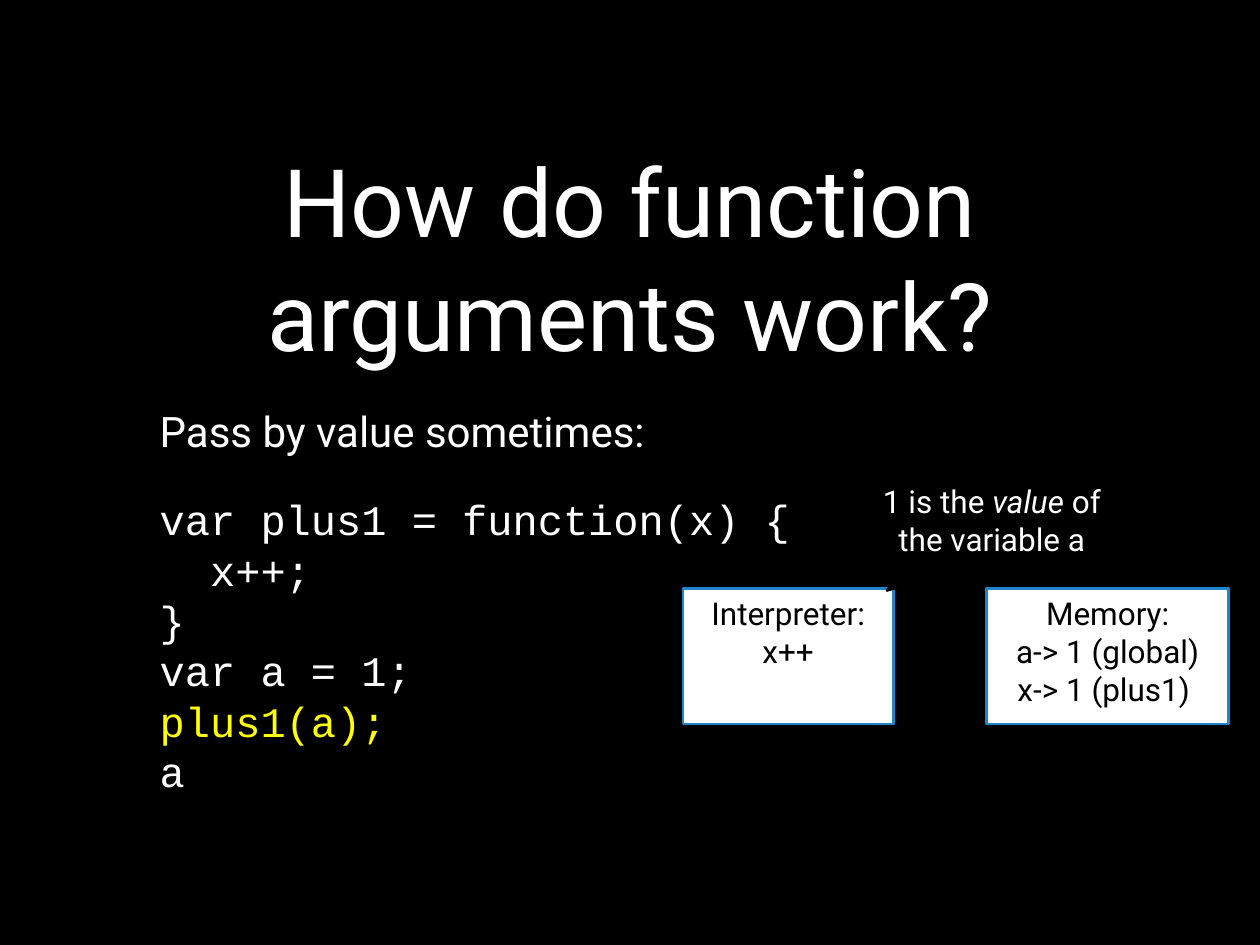
from pptx import Presentation
from pptx.dml.color import RGBColor
from pptx.enum.shapes import MSO_SHAPE
from pptx.enum.text import MSO_ANCHOR, PP_ALIGN
from pptx.util import Cm, Pt

LEFT, CENTER = PP_ALIGN.LEFT, PP_ALIGN.CENTER
TOP, MIDDLE, BOTTOM = MSO_ANCHOR.TOP, MSO_ANCHOR.MIDDLE, MSO_ANCHOR.BOTTOM
RECTANGLE, CALLOUT = MSO_SHAPE.RECTANGLE, MSO_SHAPE.RECTANGULAR_CALLOUT

COLORS = {"black": "000000", "white": "FFFFFF", "blue": "1D86CD", "yellow": "FFFF00"}
SANS, MONO = "Roboto", "Courier New"
BREAK = "\n"

TITLE = "How do function arguments work?"
INTRO = "Pass by value sometimes:"
CODE = ["var plus1 = function(x) {", "  x++;", "}", "var a = 1;", "plus1(a);", "a"]
CURRENT_LINE = "plus1(a);"
# Each box: left, width, paragraphs made of runs
BOXES = [
    (19.89, 4.88, [["Memory:", BREAK, "a-> 1 (global)"], ["x-> 1 (plus1) "]]),
    (13.77, 4.24, [["Interpreter:"], ["x++"]]),
]
BOX_TOP, BOX_HEIGHT = 11.86, 2.74
CALLOUT_RUNS = [("1 is the ", False), ("value ", True), ("of the variable a", False)]
CALLOUT_TIP = (-0.4, 0.75)


def color(name):
    return RGBColor.from_string(COLORS[name])


def add_run(paragraph, text, size, ink="white", font=SANS, italic=False):
    run = paragraph.add_run()
    run.text = text
    run.font.size = Pt(size)
    run.font.name = font
    run.font.italic = italic
    run.font.color.rgb = color(ink)


def prepare_frame(shape, anchor):
    frame = shape.text_frame
    frame.word_wrap = True
    frame.vertical_anchor = anchor
    return frame


def add_paragraph(frame, first, align):
    paragraph = frame.paragraphs[0] if first else frame.add_paragraph()
    paragraph.alignment = align
    return paragraph


def add_panel(slide, kind, place, fill, line, anchor):
    panel = slide.shapes.add_shape(kind, *map(Cm, place))
    panel.shadow.inherit = False
    panel.fill.solid()
    panel.fill.fore_color.rgb = color(fill)
    panel.line.color.rgb = color(line)
    panel.line.width = Pt(1.5)
    return panel, prepare_frame(panel, anchor)


def add_title(slide):
    box = slide.shapes.add_textbox(Cm(1.9), Cm(2.74), Cm(21.6), Cm(4.85))
    paragraph = add_paragraph(prepare_frame(box, BOTTOM), True, CENTER)
    add_run(paragraph, TITLE, 54)


def add_code(slide):
    box = slide.shapes.add_textbox(Cm(2.97), Cm(8.05), Cm(20.75), Cm(8.2))
    frame = prepare_frame(box, TOP)
    add_run(add_paragraph(frame, True, LEFT), INTRO, 24)
    for number, line in enumerate(CODE):
        paragraph = add_paragraph(frame, False, LEFT)
        if number == 0:
            paragraph.space_before = Pt(21.6)
        add_run(paragraph, line, 24, "yellow" if line == CURRENT_LINE else "white", MONO)


def add_boxes(slide):
    for left, width, paragraphs in BOXES:
        place = (left, BOX_TOP, width, BOX_HEIGHT)
        _, frame = add_panel(slide, RECTANGLE, place, "white", "blue", TOP)
        for number, runs in enumerate(paragraphs):
            paragraph = add_paragraph(frame, number == 0, CENTER)
            for text in runs:
                if text == BREAK:
                    paragraph.add_line_break()
                else:
                    add_run(paragraph, text, 18, "black")


def add_callout(slide):
    place = (17.35, 9.53, 5.29, 1.9)
    callout, frame = add_panel(slide, CALLOUT, place, "black", "black", MIDDLE)
    callout.adjustments[0], callout.adjustments[1] = CALLOUT_TIP
    paragraph = add_paragraph(frame, True, CENTER)
    for text, italic in CALLOUT_RUNS:
        add_run(paragraph, text, 18, italic=italic)


def main():
    deck = Presentation()
    deck.slide_width, deck.slide_height = Cm(25.4), Cm(19.05)
    slide = deck.slides.add_slide(deck.slide_layouts[6])
    slide.background.fill.solid()
    slide.background.fill.fore_color.rgb = color("black")
    add_title(slide)
    add_code(slide)
    add_boxes(slide)
    add_callout(slide)
    deck.save("out.pptx")


if __name__ == "__main__":
    main()
